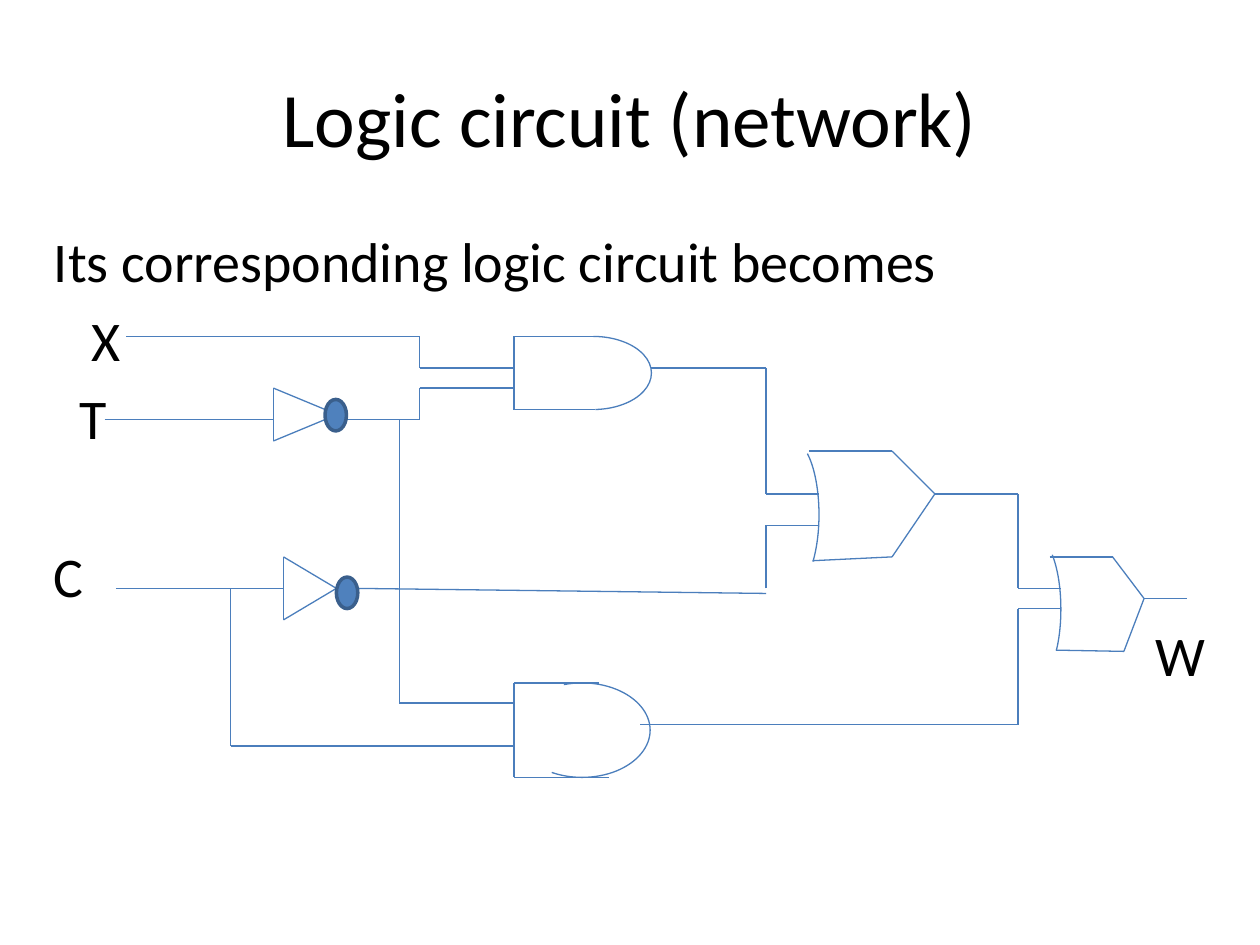
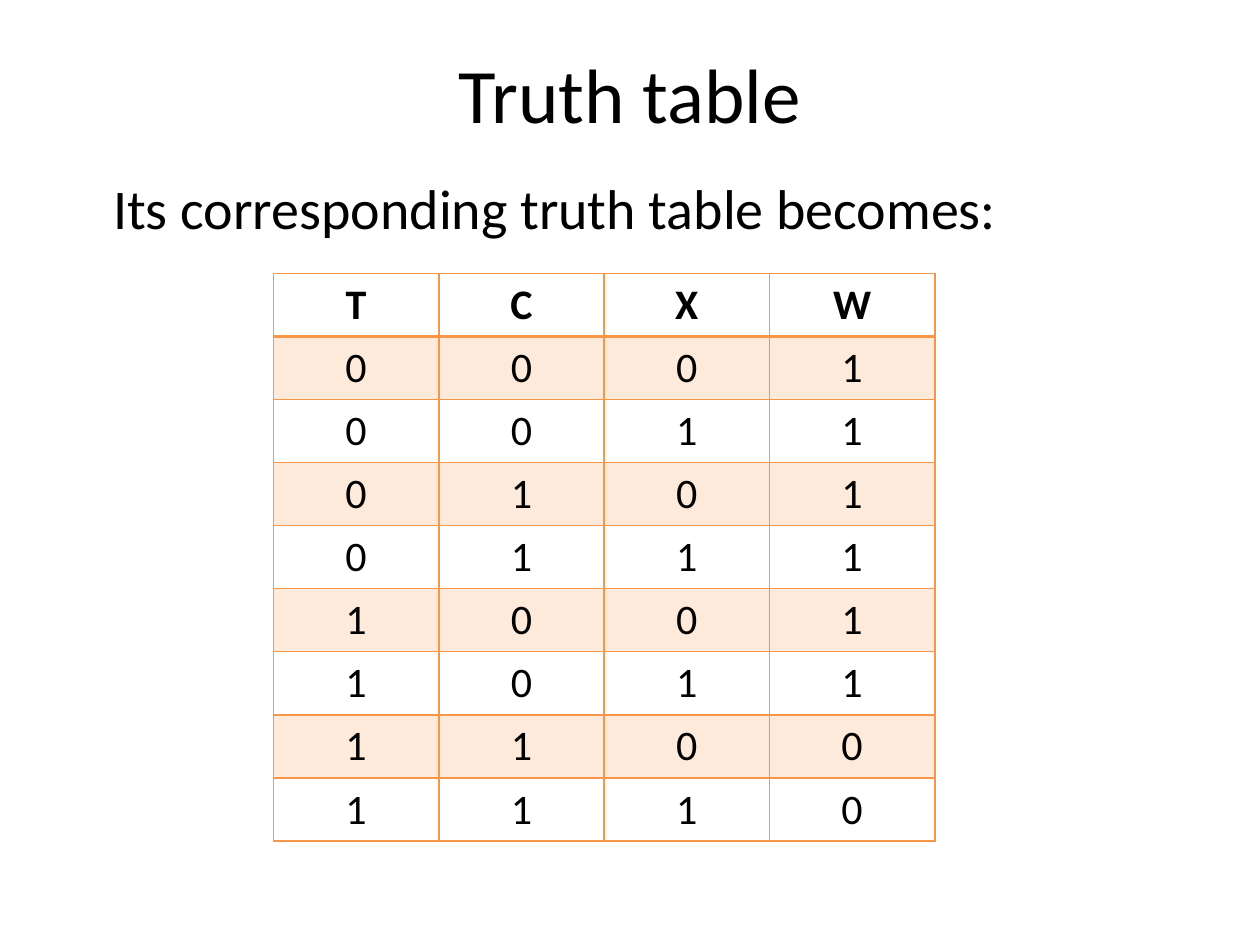
from dataclasses import dataclass
from itertools import pairwise, product

import pptx
import pptx.dml.color
import pptx.enum.shapes
import pptx.enum.text
import pptx.oxml
import pptx.oxml.ns
import pptx.presentation
import pptx.shapes.base
import pptx.slide
import pptx.table
import pptx.text.text
import pptx.util

Inches = pptx.util.Inches
Pt = pptx.util.Pt
Point = tuple[float, float]

FONT = "Calibri"
COLORS = {
    "text": "000000",
    "wire": "4B7EBC",
    "bubble": "4F81BD",
    "bubble_edge": "3A5F8C",
    "table": "F79646",
}
WIRE_WIDTH = 0.75
BAND_OPACITY = 20  # percent


@dataclass(frozen=True)
class Box:
    left: float
    top: float
    width: float
    height: float

    def lengths(self) -> list[pptx.util.Length]:
        return [Inches(value) for value in (self.left, self.top, self.width, self.height)]


@dataclass(frozen=True)
class TextLine:
    text: str
    indent: float = 0
    space_before: float = 6.4


@dataclass(frozen=True)
class Arc:
    """Curved side of a gate, drawn clockwise between two angles in degrees."""
    box: Box
    start: float
    end: float


WIRES: list[list[Point]] = [
    # X and inverted T into the upper AND gate
    [(1, 2.67), (3.33, 2.67), (3.33, 2.92), (4.08, 2.92)],
    [(0.83, 3.33), (2.17, 3.33)],
    [(2.58, 3.33), (3.33, 3.33), (3.33, 3.08), (4.08, 3.08)],
    # C and its branch, with inverted T, into the lower AND gate
    [(0.92, 4.67), (2.25, 4.67)],
    [(1.83, 4.67), (1.83, 5.92), (4.08, 5.92)],
    [(3.17, 3.33), (3.17, 5.58), (4.08, 5.58)],
    # Into the first OR gate
    [(5.17, 2.92), (6.08, 2.92), (6.08, 3.92), (6.5, 3.92)],
    [(2.83, 4.67), (6.08, 4.71)],
    [(6.08, 4.67), (6.08, 4.17), (6.5, 4.17)],
    # Into the last OR gate, and its output
    [(7.42, 3.92), (8.08, 3.92), (8.08, 4.67), (8.42, 4.67)],
    [(5.08, 5.75), (8.08, 5.75), (8.08, 4.83), (8.42, 4.83)],
    [(9.08, 4.75), (9.42, 4.75)],
]
GATE_OUTLINES: list[list[Point]] = [
    # Inverters
    [(2.58, 3.33), (2.17, 3.5), (2.17, 3.08), (2.58, 3.25)],
    [(2.67, 4.67), (2.25, 4.92), (2.25, 4.42), (2.67, 4.67)],
    # AND gates
    [(4.75, 2.67), (4.08, 2.67), (4.08, 3.25), (4.72, 3.25)],
    [(4.75, 5.42), (4.08, 5.42), (4.08, 6.17), (4.83, 6.17)],
    # OR gates
    [(6.42, 3.58), (7.08, 3.58), (7.42, 3.92), (7.08, 4.42), (6.45, 4.45)],
    [(8.33, 4.42), (8.83, 4.42), (9.08, 4.75), (8.92, 5.17), (8.38, 5.16)],
]
GATE_ARCS = [
    Arc(Box(4.25, 2.67, 0.92, 0.58), 270, 86.9),
    Arc(Box(4.08, 5.42, 1.08, 0.75), 248.2, 125.7),
    Arc(Box(6.08, 3.5, 0.42, 1.17), 283.7, 66.5),
    Arc(Box(8, 4.25, 0.42, 1.17), 288.2, 61.9),
]
INVERTER_BUBBLES = [Box(2.58, 3.17, 0.17, 0.25), Box(2.67, 4.58, 0.17, 0.25)]


def color(name: str) -> pptx.dml.color.RGBColor:
    return pptx.dml.color.RGBColor.from_string(COLORS[name])


def add_run(paragraph: pptx.text.text._Paragraph, text: str, size: float,
            bold: bool = False) -> None:
    run = paragraph.add_run()
    run.text = text
    run.font.name = FONT
    run.font.size = Pt(size)
    run.font.bold = bold
    run.font.color.rgb = color("text")


def add_title(slide: pptx.slide.Slide, text: str, height: float) -> None:
    frame = slide.shapes.add_textbox(*Box(0.5, 0.3, 9, height).lengths()).text_frame
    frame.word_wrap = True
    frame.vertical_anchor = pptx.enum.text.MSO_ANCHOR.MIDDLE
    paragraph = frame.paragraphs[0]
    paragraph.alignment = pptx.enum.text.PP_ALIGN.CENTER
    add_run(paragraph, text, 44)


def add_body(slide: pptx.slide.Slide, box: Box, lines: list[TextLine]) -> None:
    frame = slide.shapes.add_textbox(*box.lengths()).text_frame
    frame.word_wrap = True
    for number, line in enumerate(lines):
        paragraph = frame.add_paragraph() if number else frame.paragraphs[0]
        paragraph.space_before = Pt(line.space_before)
        paragraph._p.get_or_add_pPr().set("marL", str(Inches(line.indent)))
        add_run(paragraph, line.text, 32)


def add_polyline(slide: pptx.slide.Slide, points: list[Point]) -> None:
    """Join consecutive points with straight connectors."""
    for start, end in pairwise(points):
        connector = slide.shapes.add_connector(
            pptx.enum.shapes.MSO_CONNECTOR.STRAIGHT,
            *(Inches(value) for value in (*start, *end)))
        connector.line.color.rgb = color("wire")
        connector.line.width = Pt(WIRE_WIDTH)
        connector._element.spPr.append(pptx.oxml.parse_xml(
            f'<a:effectLst {pptx.oxml.ns.nsdecls("a")}/>'))


def add_arc(slide: pptx.slide.Slide, arc: Arc) -> None:
    shape = slide.shapes.add_shape(pptx.enum.shapes.MSO_SHAPE.ARC, *arc.box.lengths())
    for index, degrees in enumerate((arc.start, arc.end)):
        shape.adjustments[index] = degrees * 0.6  # 60000 units a degree, scaled by 100000
    shape.shadow.inherit = False
    shape.fill.background()
    shape.line.color.rgb = color("wire")
    shape.line.width = Pt(WIRE_WIDTH)


def add_bubble(slide: pptx.slide.Slide, box: Box) -> None:
    shape = slide.shapes.add_shape(pptx.enum.shapes.MSO_SHAPE.OVAL, *box.lengths())
    shape.shadow.inherit = False
    shape.fill.solid()
    shape.fill.fore_color.rgb = color("bubble")
    shape.line.color.rgb = color("bubble_edge")
    shape.line.width = Pt(2)


def style_cell(cell: pptx.table._Cell, row: int) -> None:
    """Shade odd rows and draw the borders, thicker below the header."""
    properties = cell._tc.get_or_add_tcPr()
    if row % 2:
        cell.fill.solid()
        cell.fill.fore_color.rgb = color("table")
        shade = properties.find(".//" + pptx.oxml.ns.qn("a:srgbClr"))
        shade.append(pptx.oxml.parse_xml(
            f'<a:alpha {pptx.oxml.ns.nsdecls("a")} val="{BAND_OPACITY * 1000}"/>'))
    else:
        cell.fill.background()
    for index, side in enumerate("LRTB"):
        below_header = (row, side) in ((0, "B"), (1, "T"))
        properties.insert(index, pptx.oxml.parse_xml(
            f'<a:ln{side} {pptx.oxml.ns.nsdecls("a")} w="{Pt(2 if below_header else 1)}">'
            f'<a:solidFill><a:srgbClr val="{COLORS["table"]}"/></a:solidFill></a:ln{side}>'))


def add_truth_table(slide: pptx.slide.Slide, box: Box, rows: list[tuple]) -> None:
    table = slide.shapes.add_table(len(rows), len(rows[0]), *box.lengths()).table
    table.first_row = False
    table.horz_banding = False
    for row, values in enumerate(rows):
        for column, value in enumerate(values):
            cell = table.cell(row, column)
            paragraph = cell.text_frame.paragraphs[0]
            paragraph.alignment = pptx.enum.text.PP_ALIGN.CENTER
            add_run(paragraph, str(value), 24, bold=row == 0)
            style_cell(cell, row)


def build_circuit_slide(presentation: pptx.presentation.Presentation) -> None:
    slide = presentation.slides.add_slide(presentation.slide_layouts[6])
    add_title(slide, "Logic circuit (network)", 1.25)
    add_body(slide, Box(0.33, 1.75, 9.42, 5), [
        TextLine("Its corresponding logic circuit becomes"),
        TextLine("X", indent=0.3),
        TextLine("T", indent=0.2),
        TextLine("C", space_before=52),
        TextLine("W", indent=8.74),
    ])
    for points in WIRES + GATE_OUTLINES:
        add_polyline(slide, points)
    for arc in GATE_ARCS:
        add_arc(slide, arc)
    for box in INVERTER_BUBBLES:
        add_bubble(slide, box)


def build_truth_table_slide(presentation: pptx.presentation.Presentation) -> None:
    slide = presentation.slides.add_slide(presentation.slide_layouts[6])
    add_title(slide, "Truth table", 0.87)
    add_body(slide, Box(0.42, 1.33, 9, 5.58),
             [TextLine("Its corresponding truth table becomes:", indent=0.38)])
    rows = [("T", "C", "X", "W")]
    rows += [(t, c, x, 1 - (t & c)) for t, c, x in product((0, 1), repeat=3)]
    add_truth_table(slide, Box(2.17, 2.17, 5.25, 4.5), rows)


def main() -> None:
    presentation = pptx.Presentation()
    presentation.slide_width = Inches(10)
    presentation.slide_height = Inches(7.5)
    build_circuit_slide(presentation)
    build_truth_table_slide(presentation)
    presentation.save("out.pptx")


if __name__ == "__main__":
    main()
